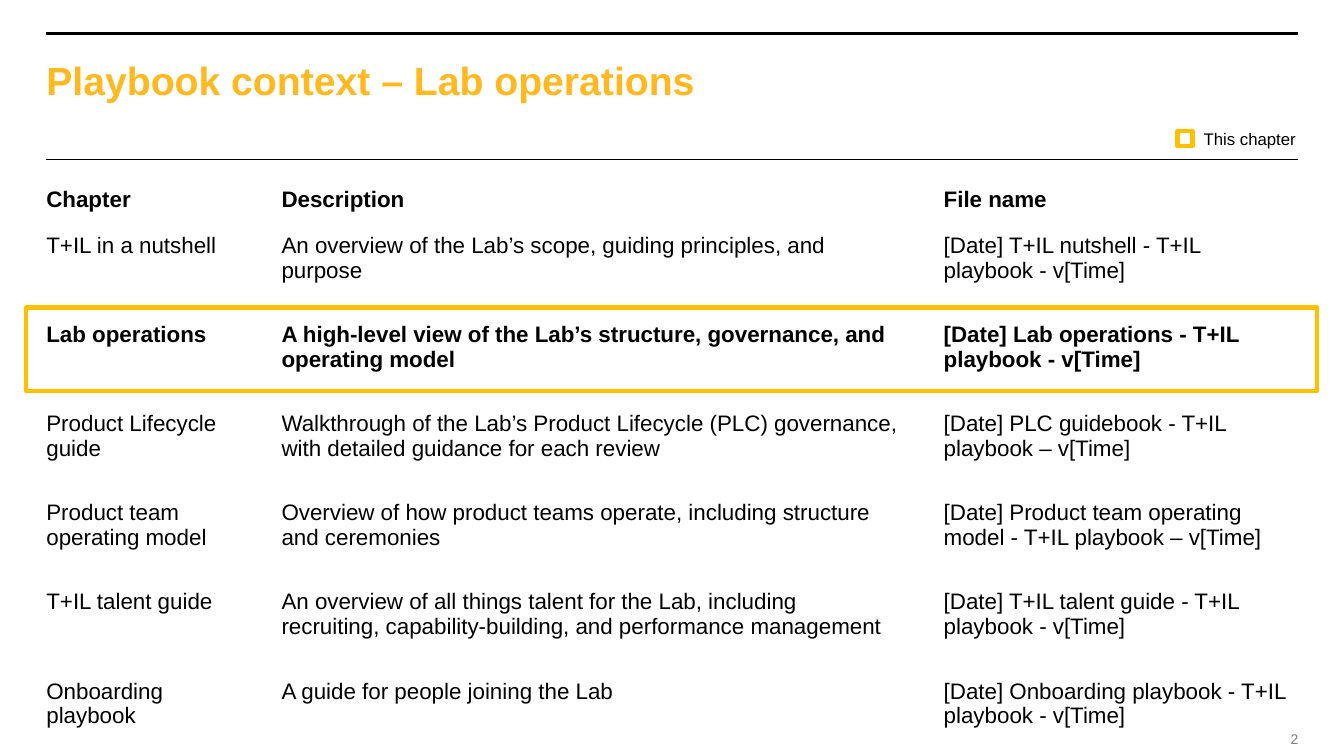
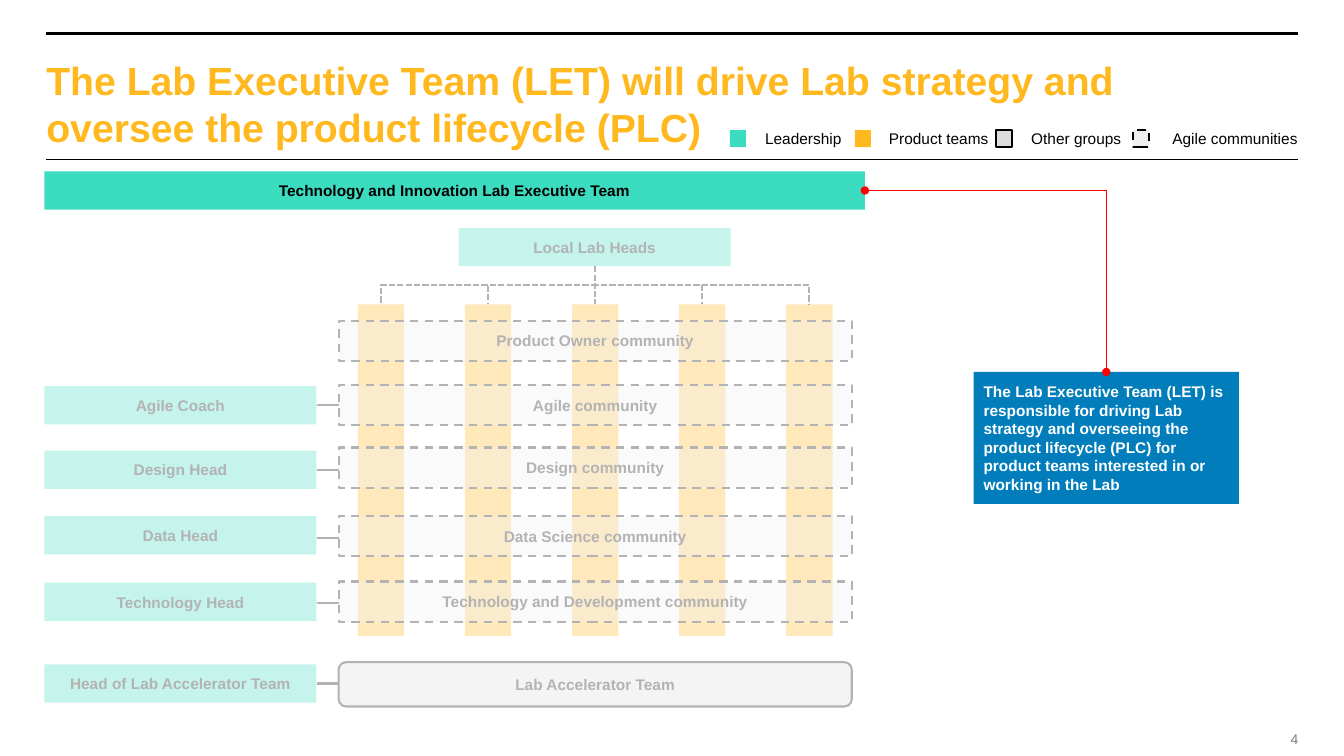
"""Build two slides on the Lab: the playbook chapters and the Lab Executive Team."""
from lxml import etree
from pptx import Presentation
from pptx.dml.color import RGBColor
from pptx.enum.dml import MSO_LINE
from pptx.enum.shapes import MSO_CONNECTOR, MSO_SHAPE
from pptx.enum.text import MSO_ANCHOR, PP_ALIGN
from pptx.oxml.ns import qn
from pptx.util import Pt

RECTANGLE, ROUNDED = MSO_SHAPE.RECTANGLE, MSO_SHAPE.ROUNDED_RECTANGLE
STRAIGHT, ELBOW = MSO_CONNECTOR.STRAIGHT, MSO_CONNECTOR.ELBOW
DASH, SHORT_DASH = MSO_LINE.DASH, MSO_LINE.SQUARE_DOT
LEFT, CENTER, RIGHT = PP_ALIGN.LEFT, PP_ALIGN.CENTER, PP_ALIGN.RIGHT
TOP, MIDDLE = MSO_ANCHOR.TOP, MSO_ANCHOR.MIDDLE

FONT = "Arial"
BLACK, WHITE, GRAY, RED = "000000", "FFFFFF", "7F7F7F", "FF0000"
AMBER, GOLD, TEAL, BLUE = "FFB81E", "FFC000", "3CDCC0", "017DBB"
SILVER, MIST = "DDDDDD", "D0D0D0"
NO_STYLE = "{2D5ABB26-0587-4C30-8999-92F81FD0307C}"

MARGIN, RIGHT_EDGE = 33.1, 927.4
RULES = [(23.8, 2.5), (113.8, 1)]

CHAPTER_TITLE = "Playbook context – Lab operations"
CHAPTERS = [
    ("Chapter", "Description", "File name"),
    ("T+IL in a nutshell",
     "An overview of the Lab’s scope, guiding principles, and purpose",
     "[Date] T+IL nutshell - T+IL playbook - v[Time]"),
    ("Lab operations",
     "A high-level view of the Lab’s structure, governance, and operating model",
     "[Date] Lab operations - T+IL playbook - v[Time]"),
    ("Product Lifecycle guide",
     "Walkthrough of the Lab’s Product Lifecycle (PLC) governance, "
     "with detailed guidance for each review",
     "[Date] PLC guidebook - T+IL playbook – v[Time]"),
    ("Product team operating model",
     "Overview of how product teams operate, including structure and ceremonies",
     "[Date] Product team operating model - T+IL playbook – v[Time]"),
    ("T+IL talent guide",
     "An overview of all things talent for the Lab, including recruiting, "
     "capability-building, and performance management",
     "[Date] T+IL talent guide - T+IL playbook - v[Time]"),
    ("Onboarding playbook",
     "A guide for people joining the Lab",
     "[Date] Onboarding playbook - T+IL playbook - v[Time]"),
]
COLUMNS = [(168, 20), (473, 32), (251, 0)]
TABLE_TOP, HEADER_HEIGHT, ROW_HEIGHT, LAST_HEIGHT = 134, 33, 63.6, 39
THIS_CHAPTER = 2

TEAM_TITLE = ("The Lab Executive Team (LET) will drive Lab strategy and "
              "oversee the product lifecycle (PLC)")
EXECUTIVES = "Technology and Innovation Lab Executive Team"
CALLOUT = ("The Lab Executive Team (LET) is responsible for driving Lab strategy and "
           "overseeing the product lifecycle (PLC) for product teams interested in or "
           "working in the Lab")
LEADERS = [
    ("Agile Coach", 275.8, 289.4),
    ("Design Head", 321.8, 335.5),
    ("Data Head", 368.6, 384.5),
    ("Technology Head", 416.2, 430.6),
    ("Head of Lab Accelerator Team", 474.5, 488.2),
]
COMMUNITIES = [
    ("Product Owner community", 229),
    ("Agile community", 275),
    ("Design community", 319.7),
    ("Data Science community", 368.6),
    ("Technology and Development community", 415.4),
]
OUTLINED = dict(fill=SILVER, line=BLACK, weight=1.5)
COMMUNITY = dict(fill=MIST, opacity=33, line=BLACK, weight=1.5, dash=DASH)
LEGEND = [
    ("Leadership", 521.3, 539.3, dict(fill=TEAL)),
    ("Product teams", 610.6, 627.8, dict(fill=AMBER)),
    ("Other groups", 711.4, 729.4, OUTLINED),
    ("Agile communities", 809.3, 830.2, COMMUNITY),
]
LEADER_LEFT, LEADER_WIDTH, LEADER_HEIGHT = 31.7, 194.4, 27.4
GROUP_LEFT, GROUP_WIDTH, COMMUNITY_HEIGHT = 241.9, 366.5, 28.8
TEAM_COUNT, TEAM_LEFT, TEAM_STEP, TEAM_WIDTH = 5, 255.6, 76.5, 33.1
TEAM_TOP, TEAM_HEIGHT = 217.4, 236.9
HEADS_LEFT, HEADS_TOP = 327.6, 162.7


def color(code):
    return RGBColor.from_string(code)


def write(frame, text, size, ink=BLACK, bold=False, align=LEFT, anchor=TOP, inset=0):
    frame.word_wrap = True
    frame.vertical_anchor = anchor
    frame.margin_left = frame.margin_right = Pt(inset)
    frame.margin_top = frame.margin_bottom = Pt(inset)
    para = frame.paragraphs[0]
    para.text, para.alignment = text, align
    style_font(para.font, size, ink, bold)


def style_font(font, size, ink, bold):
    font.name, font.size, font.bold = FONT, Pt(size), bold
    font.color.rgb = color(ink)


def add_text(page, text, left, top, width, height, size, **style):
    box = page.shapes.add_textbox(Pt(left), Pt(top), Pt(width), Pt(height))
    write(box.text_frame, text, size, **style)


def style_line(line, ink, weight, dash=None):
    line.color.rgb, line.width = color(ink), Pt(weight)
    if dash:
        line.dash_style = dash


def add_box(page, left, top, width, height, fill=None, opacity=100,
            line=None, weight=1, dash=None, kind=RECTANGLE):
    box = page.shapes.add_shape(kind, Pt(left), Pt(top), Pt(width), Pt(height))
    box.shadow.inherit = False
    if fill:
        box.fill.solid()
        box.fill.fore_color.rgb = color(fill)
    else:
        box.fill.background()
    if opacity < 100:
        tint = box.element.spPr.find(qn("a:solidFill"))[0]
        etree.SubElement(tint, qn("a:alpha"), val=str(opacity * 1000))
    if line:
        style_line(box.line, line, weight, dash)
    else:
        box.line.fill.background()
    return box


def add_label(page, text, *place, **look):
    box = add_box(page, *place, **look)
    write(box.text_frame, text, 11, bold=True, align=CENTER, anchor=MIDDLE, inset=3)


def add_line(page, start, end, ink=BLACK, weight=1.5, dash=None, kind=STRAIGHT):
    ends = [Pt(value) for value in (*start, *end)]
    connector = page.shapes.add_connector(kind, *ends)
    style_line(connector.line, ink, weight, dash)
    etree.SubElement(connector.element.spPr, qn("a:effectLst"))
    return connector


def add_branch(page, start, end):
    """Draw an elbow that leaves downwards, as a quarter-turned connector."""
    (x1, y1), (x2, y2) = start, end
    middle_x, middle_y = (x1 + x2) / 2, (y1 + y2) / 2
    half_run, half_drop = abs(x2 - x1) / 2, (y2 - y1) / 2
    side, turn = (-1, 90) if x2 <= x1 else (1, 270)
    connector = add_line(
        page,
        (middle_x + side * half_drop, middle_y - half_run),
        (middle_x - side * half_drop, middle_y + half_run),
        dash=SHORT_DASH, kind=ELBOW)
    connector.element.spPr.find(qn("a:xfrm")).set("rot", str(turn * 60000))


def add_page(deck, title, number):
    page = deck.slides.add_slide(deck.slide_layouts[6])
    for height, weight in RULES:
        add_line(page, (MARGIN, height), (RIGHT_EDGE, height), weight=weight)
    add_text(page, title, MARGIN, 40.3, 778.3, 67.7, 28, ink=AMBER, bold=True)
    add_text(page, str(number), RIGHT_EDGE - 36, 522, 36, 12.2, 10,
             ink=GRAY, align=RIGHT, anchor=MIDDLE)
    return page


def add_chapter_table(page):
    heights = [HEADER_HEIGHT] + [ROW_HEIGHT] * (len(CHAPTERS) - 2) + [LAST_HEIGHT]
    width = sum(column_width for column_width, gap in COLUMNS)
    holder = page.shapes.add_table(len(CHAPTERS), len(COLUMNS), Pt(MARGIN),
                                   Pt(TABLE_TOP), Pt(width), Pt(sum(heights)))
    table = holder.table
    table.first_row = table.horz_banding = False
    holder.element.find(".//" + qn("a:tableStyleId")).text = NO_STYLE
    for column, (column_width, gap) in zip(table.columns, COLUMNS):
        column.width = Pt(column_width)
    for index, (texts, height) in enumerate(zip(CHAPTERS, heights)):
        table.rows[index].height = Pt(height)
        for position, text in enumerate(texts):
            cell = table.cell(index, position)
            cell.fill.background()
            cell.margin_left = cell.margin_top = cell.margin_bottom = 0
            cell.margin_right = Pt(COLUMNS[position][1])
            para = cell.text_frame.paragraphs[0]
            para.text = text
            style_font(para.font, 16, BLACK, index in (0, THIS_CHAPTER))
    return TABLE_TOP + sum(heights[:THIS_CHAPTER])


def build_chapters(deck):
    page = add_page(deck, CHAPTER_TITLE, 2)
    row_top = add_chapter_table(page)
    add_box(page, 18.7, row_top - 11, 922.3, 59.8, line=GOLD, weight=3)
    add_box(page, 841, 93.6, 10.8, 10.8, line=GOLD, weight=3)
    add_text(page, "This chapter", 859.7, 92.2, 72.7, 14.4, 12)


def build_team(deck):
    page = add_page(deck, TEAM_TITLE, 4)
    add_label(page, EXECUTIVES, LEADER_LEFT, 122.4, 586.1, LEADER_HEIGHT, fill=TEAL)

    team_lefts = [TEAM_LEFT + TEAM_STEP * index for index in range(TEAM_COUNT)]
    for left in team_lefts:
        add_box(page, left, TEAM_TOP, TEAM_WIDTH, TEAM_HEIGHT, fill=AMBER)
    add_label(page, "Local Lab Heads", HEADS_LEFT, HEADS_TOP,
              LEADER_WIDTH, LEADER_HEIGHT, fill=TEAL)
    for name, top in COMMUNITIES:
        add_label(page, name, GROUP_LEFT, top, GROUP_WIDTH, COMMUNITY_HEIGHT, **COMMUNITY)
    add_label(page, "Lab Accelerator Team", GROUP_LEFT, 473, GROUP_WIDTH, 31.7,
              kind=ROUNDED, **OUTLINED)

    trunk = (HEADS_LEFT + LEADER_WIDTH / 2, HEADS_TOP + LEADER_HEIGHT)
    for left in team_lefts:
        add_branch(page, trunk, (left + TEAM_WIDTH / 2, TEAM_TOP))
    for name, top, joint in LEADERS:
        add_label(page, name, LEADER_LEFT, top, LEADER_WIDTH, LEADER_HEIGHT, fill=TEAL)
        add_line(page, (LEADER_LEFT + LEADER_WIDTH, joint), (GROUP_LEFT, joint))
    add_box(page, 10.1, 154.1, 645.8, 373, fill=WHITE, opacity=70, line=WHITE, weight=0.75)

    callout = add_box(page, 695.5, 265.7, 189.4, 94.3, fill=BLUE)
    write(callout.text_frame, CALLOUT, 11, ink=WHITE, bold=True, anchor=MIDDLE, inset=7.2)
    pointer = add_line(page, (617.8, 136.1), (790.2, 265.7), RED, 0.75, kind=ELBOW)
    outline = pointer.element.spPr
    outline.find(qn("a:prstGeom")).set("prst", "bentConnector2")
    for tip in ("a:headEnd", "a:tailEnd"):
        etree.SubElement(outline.find(qn("a:ln")), qn(tip), type="oval")

    for name, left, text_left, look in LEGEND:
        add_box(page, left, 92.9, 11.5, 12.2, **look)
        add_text(page, name, text_left + 7.2, 88.6, 105, 20.9, 11, anchor=MIDDLE)


def main():
    deck = Presentation()
    deck.slide_width, deck.slide_height = Pt(960), Pt(540)
    build_chapters(deck)
    build_team(deck)
    deck.save("out.pptx")


if __name__ == "__main__":
    main()
